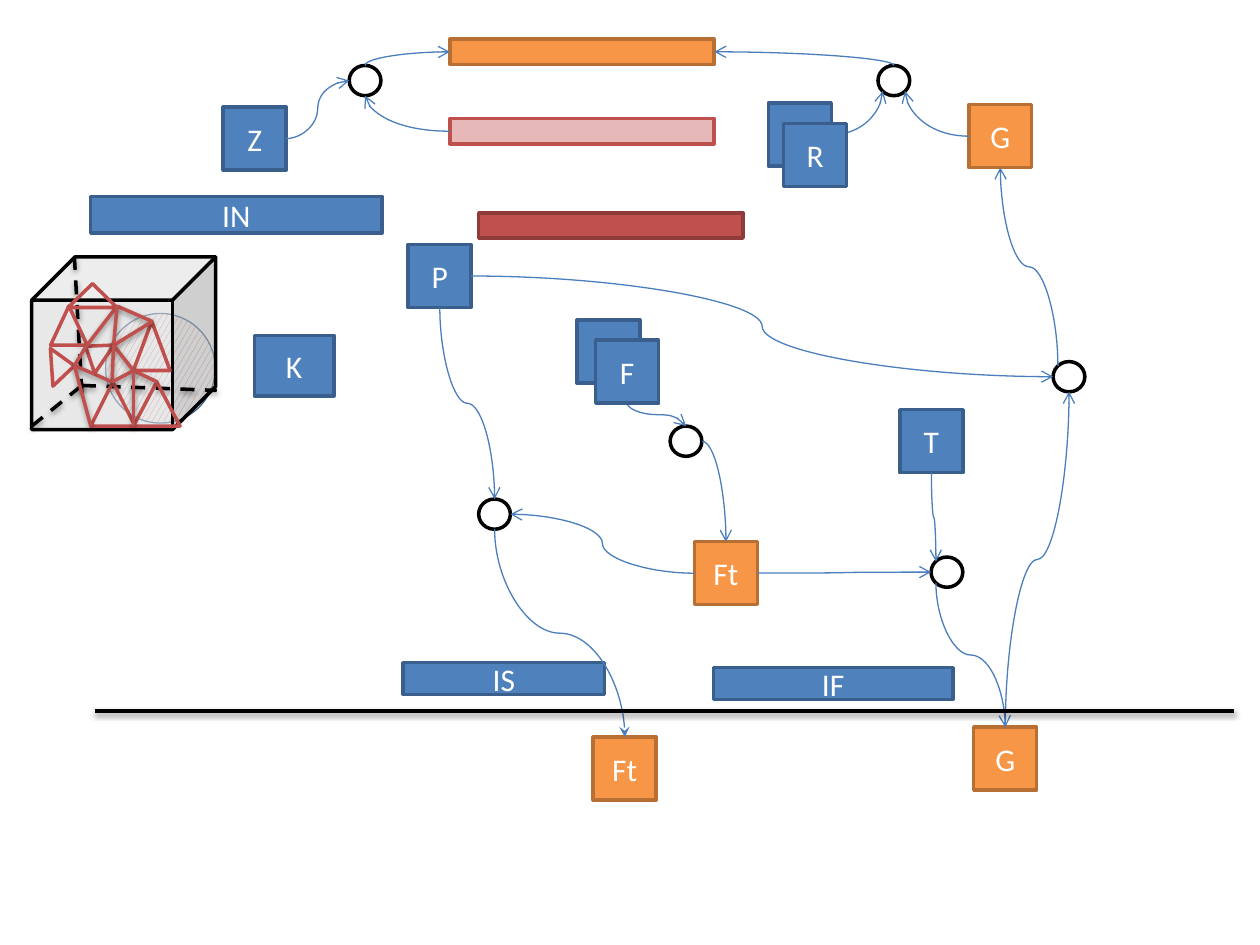
from dataclasses import dataclass

from lxml.etree import SubElement
from pptx import Presentation
from pptx.dml.color import RGBColor
from pptx.enum.dml import MSO_LINE, MSO_PATTERN
from pptx.enum.shapes import MSO_CONNECTOR as Link, MSO_SHAPE as Preset
from pptx.enum.text import MSO_ANCHOR, PP_ALIGN
from pptx.oxml.ns import qn
from pptx.util import Cm, Pt


@dataclass(frozen=True)
class Theme:
    """Colours, font and sizes; a box style is (fill, line)."""
    blue = ("4F81BD", "3A5F8C")
    orange = ("F79646", "B76F34")
    pink = ("E6B9B8", "C0504D")
    red = ("C0504D", "8E3B39")
    ring = ("FFFFFF", "000000")
    glass, black, white = "D9D9D9", "000000", "FFFFFF"
    mesh, arrow = "C0504D", "4B7EBC"
    font, text_size = "Calibri", 18
    stroke, thin = 2, 0.75


THEME = Theme()
SQUARE, CIRCLE, BAR = (1.27, 1.27), (0.64, 0.61), (5.33, 0.51)

# name: (left, top, size, style, label), in centimetres
BOXES = {
    "IF": (14.38, 13.46, (4.83, 0.64), THEME.blue, "IF"),
    "IN": (1.83, 3.96, (5.87, 0.74), THEME.blue, "IN"),
    "IS": (8.13, 13.36, (4.06, 0.64), THEME.blue, "IS"),
    "K": (5.13, 6.76, (1.6, 1.22), THEME.blue, "K"),
    "pink bar": (9.07, 2.39, BAR, THEME.pink, ""),
    "orange bar": (9.07, 0.79, BAR, THEME.orange, ""),
    "red bar": (9.65, 4.29, BAR, THEME.red, ""),
    "R back": (15.49, 2.08, SQUARE, THEME.blue, ""),
    "F back": (11.63, 6.45, SQUARE, THEME.blue, ""),
    "T": (18.14, 8.26, SQUARE, THEME.blue, "T"),
    "Z": (4.5, 2.16, SQUARE, THEME.blue, "Z"),
    "P": (8.23, 4.93, SQUARE, THEME.blue, "P"),
    "Ft": (14, 10.92, SQUARE, THEME.orange, "Ft"),
    "Ft next": (11.96, 14.86, SQUARE, THEME.orange, "Ft"),
    "G": (19.53, 2.11, SQUARE, THEME.orange, "G"),
    "G next": (19.63, 14.66, SQUARE, THEME.orange, "G"),
    "Z node": (7.04, 1.32, CIRCLE, THEME.ring, ""),
    "R node": (17.7, 1.32, CIRCLE, THEME.ring, ""),
    "F node": (13.51, 8.59, CIRCLE, THEME.ring, ""),
    "P node": (9.65, 10.06, CIRCLE, THEME.ring, ""),
    "T node": (18.77, 11.23, CIRCLE, THEME.ring, ""),
    "G node": (21.23, 7.29, CIRCLE, THEME.ring, ""),
}
FRONT_BOXES = {
    "R": (15.8, 2.49, SQUARE, THEME.blue, "R"),
    "F": (12.01, 6.86, SQUARE, THEME.blue, "F"),
}
# (from, site, to, site, arrowhead)
FLOWS = [
    ("pink bar", "left", "Z node", "bottom", "arrow"),
    ("Z node", "top", "orange bar", "left", "arrow"),
    ("Z", "right", "Z node", "left", "arrow"),
    ("F node", "right", "Ft", "top", "arrow"),
    ("T", "bottom", "T node", "top left", "arrow"),
    ("T node", "bottom left", "G next", "top", "arrow"),
    ("P node", "bottom", "Ft next", "top", "stealth"),
    ("P", "bottom", "P node", "top", "arrow"),
    ("Ft", "left", "P node", "right", "arrow"),
    ("Ft", "right", "T node", "left", "arrow"),
    ("G next", "top", "G node", "bottom", "arrow"),
    ("P", "right", "G node", "left", "arrow"),
    ("G node", "top left", "G", "bottom", "arrow"),
    ("R node", "top", "orange bar", "right", "arrow"),
    ("R back", "right", "R node", "bottom left", "arrow"),
    ("G", "left", "R node", "bottom right", "arrow"),
    ("F", "bottom", "F node", "top", "arrow"),
]
# Fractions of width and height; diagonal sites lie on the circle
SITES = {
    "left": (0, 0.5), "right": (1, 0.5), "top": (0.5, 0), "bottom": (0.5, 1),
    "top left": (0.15, 0.15), "bottom left": (0.15, 0.85),
    "bottom right": (0.85, 0.85),
}
CUBE = (0.64, 5.18, 3.71, 3.48)
BALL = (2.13, 6.32, 2.21, 2.21)
HIDDEN_EDGES = [((1.65, 7.77), (4.37, 7.87)), ((0.64, 8.59), (1.65, 7.77)),
                ((1.65, 7.92), (1.5, 5.18))]
TRIANGLES = [  # (left, top, width, height, rotation)
    (1.02, 6.17, 0.74, 0.79, 0), (1.37, 5.72, 0.99, 0.48, 0),
    (2.69, 7.7, 0.94, 0.89, 0), (2.69, 6.48, 0.74, 0.99, 0),
    (1.83, 7.7, 0.89, 0.89, 0), (1.57, 6.88, 0.69, 0.46, 304.4),
    (0.89, 7.16, 0.76, 0.46, 86.1),
]
VERTICES = {
    "a": (2.36, 6.17), "b": (3.07, 6.48), "c": (1.73, 6.99), "d": (2.29, 6.96),
    "e": (1.5, 7.37), "f": (2.69, 7.47), "g": (2.26, 7.7), "h": (1.9, 7.54),
    "i": (1.83, 8.59), "j": (3.17, 7.7), "k": (2.69, 8.59),
}
MESH_EDGES = "ab ac ad db ce df dg hg eh ei fj gf kf".split()
GROUND = ((24.87, 14.33), (1.91, 14.33))


def write(shape, text, size=THEME.text_size, color=THEME.white, font=THEME.font):
    """Put one centred line of formatted text in a shape."""
    frame = shape.text_frame
    frame.vertical_anchor = MSO_ANCHOR.MIDDLE
    para = frame.paragraphs[0]
    para.alignment = PP_ALIGN.CENTER
    span = para.add_run()
    span.text = text
    span.font.size, span.font.name = Pt(size), font
    span.font.color.rgb = RGBColor.from_string(color)


def paint_line(item, color, width=THEME.stroke):
    """Set the line colour and width of a shape or connector."""
    item.line.color.rgb = RGBColor.from_string(color)
    item.line.width = Pt(width)


def add_box(shapes, preset, place, fill, line, width=THEME.stroke):
    """Add a flat preset shape; a fill of None leaves it open."""
    box = shapes.add_shape(preset, *map(Cm, place))
    box.shadow.inherit = False
    if fill:
        box.fill.solid()
        box.fill.fore_color.rgb = RGBColor.from_string(fill)
    else:
        box.fill.background()
    paint_line(box, line, width)
    return box


def add_line(shapes, start, end, color, dashed=False):
    """Add a straight line with a soft shadow below it."""
    line = shapes.add_connector(Link.STRAIGHT, *map(Cm, start + end))
    paint_line(line, color)
    if dashed:
        line.line.dash_style = MSO_LINE.DASH
    effects = SubElement(line._element.spPr, qn("a:effectLst"))
    shadow = SubElement(effects, qn("a:outerShdw"), blurRad="40000",
                        dist="20000", dir="5400000", rotWithShape="0")
    tint = SubElement(shadow, qn("a:srgbClr"), val=THEME.black)
    SubElement(tint, qn("a:alpha"), val="38000")


def site_point(box, site):
    """Return the point of a connection site."""
    left, top, (width, height) = box[:3]
    across, down = SITES[site]
    return left + across * width, top + down * height


def add_flow(shapes, start, end, upright, bends, head):
    """Add a curved arrow, turned a quarter when it leaves upright."""
    run, rise = end[0] - start[0], end[1] - start[1]
    width, height = abs(run), abs(rise)
    if upright:
        width, height = height, width
        turn = 270 if run * rise > 0 else 90
        flip_h = rise > 0 if turn == 270 else rise < 0
        flip_v = rise < 0
    else:
        turn = 180 if run < 0 and rise < 0 else 0
        flip_h, flip_v = run < 0 and not turn, rise < 0 and not turn
    left = (start[0] + end[0] - width) / 2
    top = (start[1] + end[1] - height) / 2
    flow = shapes.add_connector(
        Link.CURVE, *map(Cm, (left, top, left + width, top + height)))
    paint_line(flow, THEME.arrow, THEME.thin)
    props = flow._element.spPr
    frame = props.find(qn("a:xfrm"))
    for key, value in (("rot", turn * 60000), ("flipH", int(flip_h)),
                       ("flipV", int(flip_v))):
        frame.set(key, str(value))
    props.find(qn("a:prstGeom")).set("prst", f"curvedConnector{bends}")
    SubElement(props.find(qn("a:ln")), qn("a:tailEnd"), type=head)
    SubElement(props, qn("a:effectLst"))


def add_boxes(shapes, boxes):
    """Add the labelled boxes and round nodes."""
    for left, top, size, (fill, line), label in boxes.values():
        preset = Preset.OVAL if size == CIRCLE else Preset.RECTANGLE
        box = add_box(shapes, preset, (left, top, *size), fill, line)
        if label:
            write(box, label)


def add_mesh_cube(shapes):
    """Add the glass cube with the mesh inside it."""
    ball = add_box(shapes, Preset.OVAL, BALL, None, THEME.blue[1], 0)
    ball.fill.patterned()
    ball.fill.pattern = MSO_PATTERN.LARGE_CONFETTI
    ball.fill.fore_color.rgb = RGBColor.from_string(THEME.mesh)
    ball.fill.back_color.rgb = RGBColor.from_string(THEME.white)
    cube = add_box(shapes, Preset.CUBE, CUBE, THEME.glass, THEME.black)
    tint = cube._element.spPr.find(qn("a:solidFill"))[0]
    SubElement(tint, qn("a:alpha"), val="58000")
    for start, end in HIDDEN_EDGES:
        add_line(shapes, start, end, THEME.black, dashed=True)
    for *place, rotation in TRIANGLES:
        add_box(shapes, Preset.ISOSCELES_TRIANGLE, place, None,
                THEME.mesh).rotation = rotation
    for start, end in MESH_EDGES:
        add_line(shapes, VERTICES[start], VERTICES[end], THEME.mesh)


deck = Presentation()
deck.slide_width, deck.slide_height = Cm(25.4), Cm(19.05)
page = deck.slides.add_slide(deck.slide_layouts[6])
add_mesh_cube(page.shapes.add_group_shape().shapes)
add_boxes(page.shapes, BOXES)
every_box = {**BOXES, **FRONT_BOXES}
for source, leave, target, enter, head in FLOWS:
    upright, lands_upright = ("top" in s or "bottom" in s for s in (leave, enter))
    add_flow(page.shapes, site_point(every_box[source], leave),
             site_point(every_box[target], enter), upright,
             3 if upright == lands_upright else 2, head)
add_boxes(page.shapes, FRONT_BOXES)
add_line(page.shapes, *GROUND, THEME.black)
deck.save("out.pptx")
